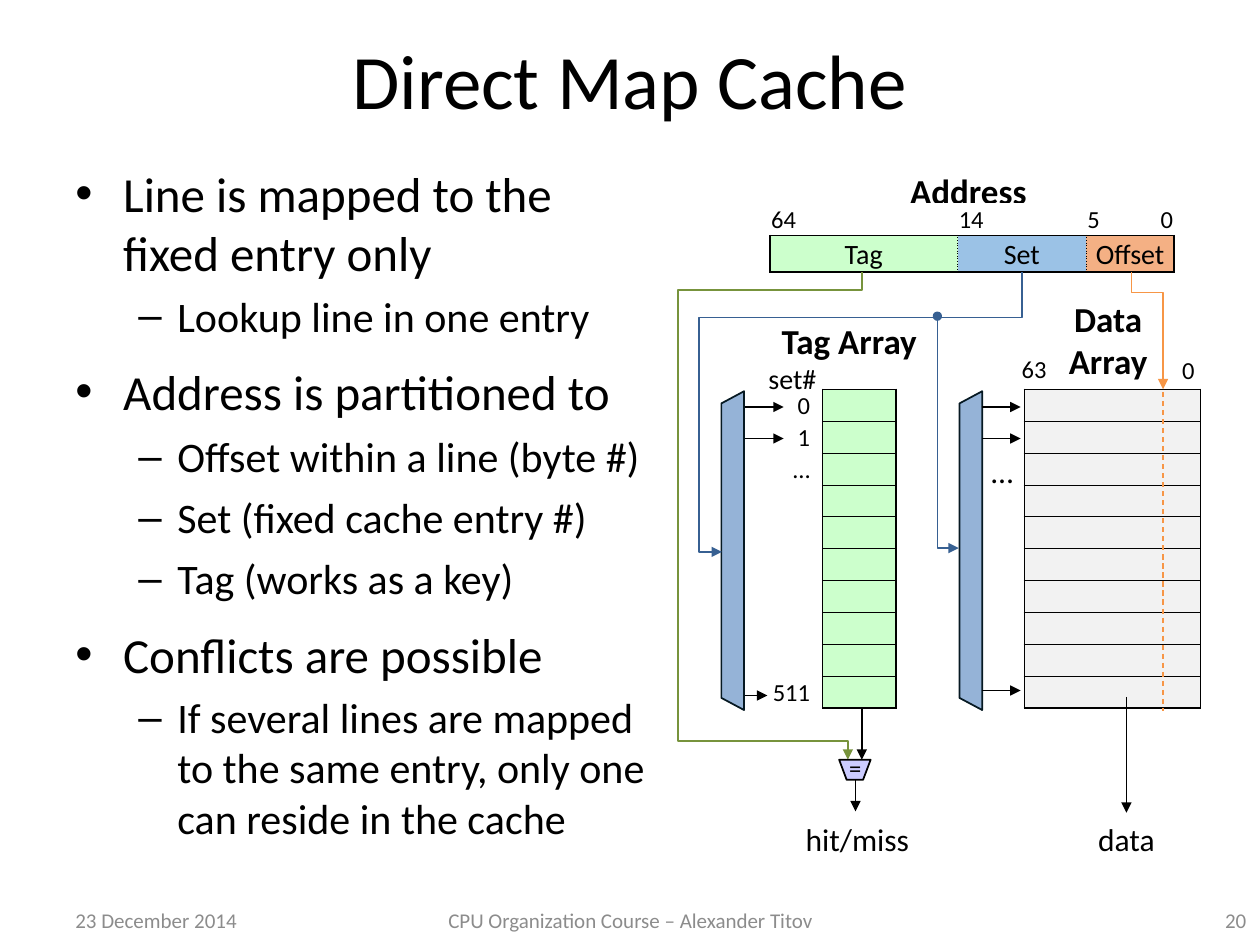
from lxml import etree
from pptx import Presentation
from pptx.dml.color import RGBColor
from pptx.enum import dml, shapes, text
from pptx.oxml import ns
from pptx.util import Pt

PX = 9144  # 100 px to the inch
rgb = RGBColor.from_string
LEFT, MID, RIGHT = text.PP_ALIGN.LEFT, text.PP_ALIGN.CENTER, text.PP_ALIGN.RIGHT
BLACK, BLUE, GREEN, ORANGE = "000000", "376092", "77933C", "F79646"


def write(frame, words, size, align=MID, color=BLACK, bold=False):
    for i, line in enumerate(words.split("\n")):
        para = frame.add_paragraph() if i else frame.paragraphs[0]
        para.text = line
        para.alignment = align
        para.font.size = Pt(size)
        para.font.name = "Calibri"
        para.font.bold = bold
        para.font.color.rgb = rgb(color)


def trace(item, color=BLACK, width=1, arrow=False):
    item.line.color.rgb = rgb(color)
    item.line.width = Pt(width)
    prop = item._element.spPr
    if arrow:
        etree.SubElement(item.line._get_or_add_ln(), ns.qn("a:tailEnd"), type="triangle")
    if prop.find(ns.qn("a:effectLst")) is None:
        etree.SubElement(prop, ns.qn("a:effectLst"))


deck = Presentation()
deck.slide_width, deck.slide_height = 1000 * PX, 750 * PX
slide = deck.slides.add_slide(deck.slide_layouts[6])
parts = slide.shapes

# Title, footer and address heading
for words, x, y, w, h, size, align, color, bold in [
    ("Direct Map Cache", 50, 0, 900, 125, 44, MID, BLACK, False),
    ("23 December 2014", 50, 710, 233, 40, 12, LEFT, "8C8C8C", False),
    ("CPU Organization Course – Alexander Titov", 342, 710, 317, 40, 12, MID, "8C8C8C", False),
    ("20", 766, 710, 233, 40, 12, RIGHT, "8C8C8C", False),
    ("Address", 669, 129, 199, 44, 20, MID, BLACK, True),
]:
    box = parts.add_textbox(x * PX, y * PX, w * PX, h * PX).text_frame
    box.word_wrap = True
    box.vertical_anchor = text.MSO_ANCHOR.MIDDLE
    write(box, words, size, align, color, bold)

# Bullets: level, space before, words
points = [
    (0, 0, "Line is mapped to the fixed entry only"),
    (1, 5, "Lookup line in one entry"),
    (0, 12, "Address is partitioned to"),
    (1, 6, "Offset within a line (byte #)"),
    (1, 6, "Set (fixed cache entry #)"),
    (1, 6, "Tag (works as a key)"),
    (0, 12, "Conflicts are possible"),
    (1, 5, "If several lines are mapped to the same entry, only one can reside in the cache"),
]
body = parts.add_textbox(50 * PX, 125 * PX, 476 * PX, 550 * PX).text_frame
body.word_wrap = True
for i, (level, gap, words) in enumerate(points):
    para = body.add_paragraph() if i else body.paragraphs[0]
    para.text = words
    para.level = level
    para.space_before = Pt(gap)
    prop = para._p.get_or_add_pPr()
    prop.set("marL", str((38, 81)[level] * PX))
    prop.set("indent", str((-38, -31)[level] * PX))
    etree.SubElement(prop, ns.qn("a:buFont"), typeface="Arial")
    etree.SubElement(prop, ns.qn("a:buChar"), char="•–"[level])
    para.font.size = Pt((28, 24)[level])
    para.font.name = "Calibri"
    para.font.color.rgb = rgb(BLACK)

# Table cells: words, size, align, fill, and border (width, dash) by side
SOLID, THIN, DOT = (1, "solid"), (0.5, "solid"), (0.5, "sysDot")
marks = {0: "0", 1: "1", 2: "…", 9: "511"}
arrays = []
for r in range(10):
    edge = dict(L=SOLID, R=SOLID, T=THIN if r else SOLID, B=SOLID if r == 9 else THIN)
    arrays.append([
        (marks.get(r, ""), 14, RIGHT, "FFFFFF", dict(R=SOLID)),
        ("", 14, LEFT, "CCFFCC", edge),
        ("", 14, LEFT, "FFFFFF", dict(L=SOLID, R=SOLID)),
        ("", 14, LEFT, "F2F2F2", edge),
    ])
bits = [(word, 14, RIGHT if word == "0" else LEFT, "FFFFFF", dict(B=SOLID))
        for word in ("64", "14", "", "5", "0")]
fields = []
for word, fill, left, right in [
    ("Tag", "CCFFCC", SOLID, DOT), ("Set", "9BC2E6", DOT, DOT), ("", "9BC2E6", DOT, DOT),
    ("Offset", "F4B084", DOT, SOLID), ("", "F4B084", DOT, SOLID),
]:
    fields.append((word, 16, MID, fill, dict(L=left, R=right, T=SOLID, B=SOLID)))

# Tag and data arrays, then the address fields
for x, y, cols, high, rows, inset, anchor in [
    (586, 309, (67, 58, 102, 140), [25.3] * 10, arrays, 10, text.MSO_ANCHOR.BOTTOM),
    (611, 161, (149, 51, 51, 35, 35), [26, 29], [bits, fields], 1, text.MSO_ANCHOR.MIDDLE),
]:
    grid = parts.add_table(len(rows), len(cols), x * PX, y * PX,
                           sum(cols) * PX, int(sum(high) * PX)).table
    grid.first_row = grid.horz_banding = False
    for col, w in zip(grid.columns, cols):
        col.width = w * PX
    for r, row in enumerate(rows):
        grid.rows[r].height = int(high[r] * PX)
        for c, (words, size, align, fill, edge) in enumerate(row):
            cell = grid.cell(r, c)
            cell.margin_left, cell.margin_top = PX, PX
            cell.margin_right, cell.margin_bottom = inset * PX, 0
            cell.vertical_anchor = anchor
            cell.fill.solid()
            cell.fill.fore_color.rgb = rgb(fill)
            if words:
                write(cell.text_frame, words, size, align)
            else:
                etree.SubElement(cell.text_frame.paragraphs[0]._p,
                                 ns.qn("a:endParaRPr"), sz="800")
            prop = cell._tc.get_or_add_tcPr()
            for i, side in enumerate("LRTB"):
                line = etree.Element(ns.qn("a:ln" + side))
                prop.insert(i, line)
                if side not in edge:
                    etree.SubElement(line, ns.qn("a:noFill"))
                    continue
                width, dash = edge[side]
                line.set("w", str(Pt(width)))
                paint = etree.SubElement(line, ns.qn("a:solidFill"))
                etree.SubElement(paint, ns.qn("a:srgbClr"), val=BLACK)
                etree.SubElement(line, ns.qn("a:prstDash"), val=dash)
for c in (1, 3):
    grid.cell(1, c).merge(grid.cell(1, c + 1))

# Decoders
for x in (455, 644):
    gate = parts.add_shape(shapes.MSO_SHAPE.TRAPEZOID, x * PX, 428 * PX, 253 * PX, 18 * PX)
    gate.adjustments[0] = 0.535
    gate.rotation = 270
    gate.shadow.inherit = False
    gate.fill.solid()
    gate.fill.fore_color.rgb = rgb("95B3D7")
    trace(gate, "061922")

# Straight arrows: decoder outputs, comparator and data output
arrows = [(591, y, end, y, 0.75) for y, end in ((323, 622), (348, 622), (552, 609))]
arrows += [(779, y, 810, y, 0.75) for y in (323, 348, 548)]
arrows += [(679, 619, 679, 644, 0.75), (684, 562, 684, 603, 1), (894, 553, 894, 645, 1)]
for x, y, right, low, width in arrows:
    wire = parts.add_connector(shapes.MSO_CONNECTOR.STRAIGHT, x * PX, y * PX, right * PX, low * PX)
    trace(wire, BLACK, width, True)

# Offset wire: an elbow turned upright, then a dashed line down the data array
bend = parts.add_connector(shapes.MSO_CONNECTOR.ELBOW, 957 * PX, 250 * PX, 864 * PX, 275 * PX)
bend._element.spPr.xfrm.set("rot", str(270 * 60000))
etree.SubElement(bend._element.spPr.prstGeom.get_or_add_avLst(), ns.qn("a:gd"),
                 name="adj1", fmla="val 17300")
trace(bend, ORANGE, 0.75, True)
dash = parts.add_connector(shapes.MSO_CONNECTOR.STRAIGHT, 923 * PX, 311 * PX, 923 * PX, 564 * PX)
dash.line.dash_style = dml.MSO_LINE.DASH
trace(dash, ORANGE, 0.75)

# Tag wire, set wires and the comparator
for color, fill, path in [
    (GREEN, None, [(684, 216), (684, 230), (538, 230), (538, 588), (673, 588), (673, 603)]),
    (BLUE, None, [(811, 216), (811, 252), (555, 252), (555, 438), (573, 438)]),
    (BLUE, None, [(744, 252), (744, 435), (761, 435)]),
    (BLACK, "CCCCFF", [(666, 603), (691, 603), (685, 619), (672, 619)]),
]:
    pen = parts.build_freeform(*path[0], scale=PX)
    pen.add_line_segments(path[1:], close=bool(fill))
    form = pen.convert_to_shape()
    form.shadow.inherit = False
    if fill:
        form.fill.solid()
        form.fill.fore_color.rgb = rgb(fill)
    else:
        form.fill.background()
    trace(form, color, 1, not fill)

# Junction of the set wires
dot = parts.add_shape(shapes.MSO_SHAPE.OVAL, 741 * PX, 248 * PX, 6 * PX, 6 * PX)
dot.shadow.inherit = False
dot.fill.solid()
dot.fill.fore_color.rgb = rgb(BLUE)
trace(dot, BLUE)

# Labels
for words, x, y, w, h, size, align, bold in [
    ("63", 801, 276, 40, 34, 14, LEFT, False),
    ("0", 928, 277, 30, 34, 14, RIGHT, False),
    ("Tag Array", 582, 249, 184, 44, 20, MID, True),
    ("Data\nArray", 838, 231, 83, 77, 20, MID, True),
    ("…", 777, 354, 38, 40, 18, LEFT, False),
    ("set#", 600, 282, 59, 37, 16, LEFT, False),
    ("=", 664, 593, 30, 34, 14, LEFT, False),
    ("hit/miss", 629, 646, 103, 40, 18, MID, False),
    ("data", 861, 646, 66, 40, 18, MID, False),
]:
    box = parts.add_textbox(x * PX, y * PX, w * PX, h * PX).text_frame
    box.word_wrap = False
    write(box, words, size, align, BLACK, bold)

deck.save("out.pptx")
